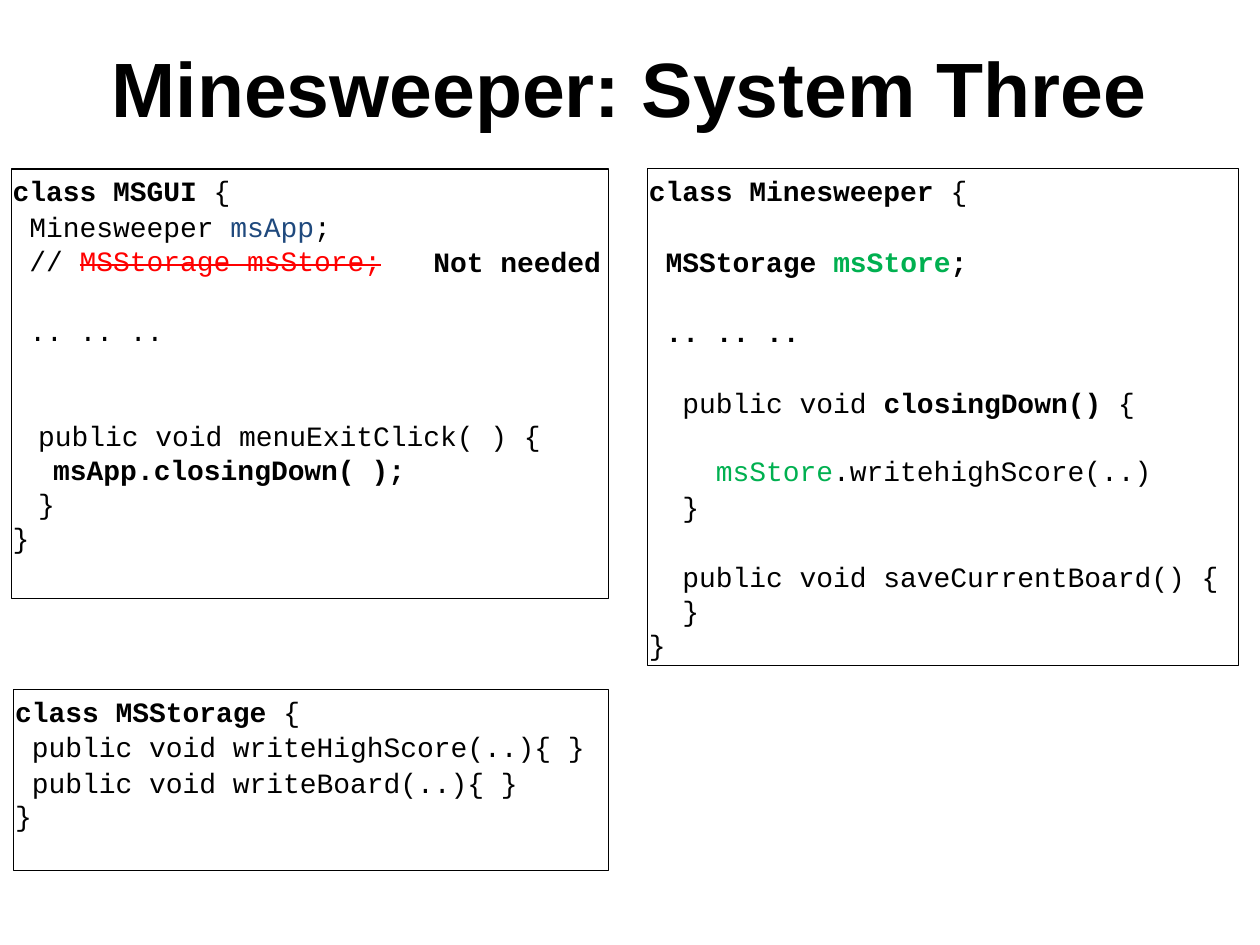
from dataclasses import dataclass
from typing import NamedTuple

from pptx import Presentation
from pptx.dml.color import RGBColor
from pptx.enum.shapes import MSO_SHAPE as Preset
from pptx.enum.text import MSO_ANCHOR as Anchor, PP_ALIGN as Align
from pptx.util import Inches, Pt


@dataclass(frozen=True)
class Theme:
    ink: str = "000000"
    app: str = "1F497D"
    removed: str = "FF0000"
    store: str = "00B050"
    title_font: str = "Arial"
    code_font: str = "Courier New"
    title_size: float = 44
    code_size: float = 16
    line_height: float = 19.25
    blank_height: float = 20
    border: float = 0.75


THEME = Theme()


class Box(NamedTuple):
    left: float
    top: float
    width: float
    height: float


class Span(NamedTuple):
    text: str
    bold: bool = False
    color: str = THEME.ink
    struck: bool = False


@dataclass(frozen=True)
class Line:
    """One code line; blanks counts the empty lines above it."""
    spans: tuple[Span, ...]
    blanks: int = 0
    indent: float = 0.01
    lead: float = 0


class CodePanel(NamedTuple):
    box: Box
    lines: tuple[Line, ...]
    outlined: bool = True


def line(*spans: Span | str, **layout: float) -> Line:
    return Line(tuple(Span(s) if isinstance(s, str) else s for s in spans), **layout)


def bold(text: str, color: str = THEME.ink) -> Span:
    return Span(text, True, color)


PANELS = (
    CodePanel(Box(0.09, 1.34, 4.74, 3.41), (
        line(bold("class MSGUI "), "{"),
        line(" Minesweeper ", Span("msApp", color=THEME.app), ";", lead=1),
        line(" // ", Span("MSStorage msStore;", color=THEME.removed, struck=True)),
        line(" .. .. ..", blanks=1, lead=1),
        line(" public void menuExitClick( ) {", blanks=2, lead=1, indent=0.08),
        line(bold(" msApp.closingDown( );"), indent=0.2),
        line(" }", indent=0.08),
        line("}"),
    )),
    CodePanel(Box(0.11, 5.47, 4.72, 1.44), (
        line(bold("class MSStorage "), "{"),
        line(" public void writeHighScore(..){ }", lead=1),
        line(" public void writeBoard(..){ }", lead=1),
        line("}"),
    )),
    CodePanel(Box(5.14, 1.34, 4.69, 3.94), (
        line(bold("class Minesweeper "), "{"),
        line(" ", bold("MSStorage "), bold("msStore", THEME.store), bold(";"),
             blanks=1, lead=1),
        line(" ", bold(".. .. .."), blanks=1, lead=1),
        line("  public void ", bold("closingDown() "), "{", blanks=1, lead=1),
        line("    ", Span("msStore", color=THEME.store), ".writehighScore(..)", blanks=1),
        line("  }", lead=1),
        line("  public void saveCurrentBoard() {", blanks=1, lead=1),
        line("  }"),
        line("}"),
    )),
    CodePanel(Box(3.43, 1.9, 1.53, 0.28), (line(bold("Not needed")),), outlined=False),
)


def set_all(target, values: dict) -> None:
    for name, value in values.items():
        setattr(target, name, value)


def add_span(paragraph, span: Span, font: str, size: float) -> None:
    run = paragraph.add_run()
    run.text = span.text
    set_all(run.font, {"name": font, "size": Pt(size), "bold": span.bold})
    run.font.color.rgb = RGBColor.from_string(span.color)
    if span.struck:
        run._r.get_or_add_rPr().set("strike", "sngStrike")


def add_title(slide, text: str, box: Box) -> None:
    title = slide.shapes.add_textbox(*map(Inches, box)).text_frame
    set_all(title, {"word_wrap": True, "vertical_anchor": Anchor.MIDDLE})
    title.paragraphs[0].alignment = Align.CENTER
    add_span(title.paragraphs[0], bold(text), THEME.title_font, THEME.title_size)


def add_panel(slide, panel: CodePanel) -> None:
    place = tuple(map(Inches, panel.box))
    if panel.outlined:
        shape = slide.shapes.add_shape(Preset.RECTANGLE, *place)
        shape.shadow.inherit = False
        shape.fill.background()
        shape.line.color.rgb = RGBColor.from_string(THEME.ink)
        shape.line.width = Pt(THEME.border)
    else:
        shape = slide.shapes.add_textbox(*place)
    code = shape.text_frame
    set_all(code, {
        "word_wrap": True, "vertical_anchor": Anchor.TOP,
        "margin_left": 0, "margin_right": 0,
        "margin_top": Inches(0.04), "margin_bottom": 0,
    })
    for index, row in enumerate(panel.lines):
        paragraph = code.paragraphs[0] if index == 0 else code.add_paragraph()
        set_all(paragraph, {
            "alignment": Align.LEFT,
            "line_spacing": Pt(THEME.line_height),
            "space_before": Pt(row.blanks * THEME.blank_height + row.lead),
        })
        paragraph._p.get_or_add_pPr().set("marL", str(Inches(row.indent)))
        for span in row.spans:
            add_span(paragraph, span, THEME.code_font, THEME.code_size)


def main() -> None:
    deck = Presentation()
    set_all(deck, {"slide_width": Inches(10), "slide_height": Inches(7.5)})
    slide = deck.slides.add_slide(deck.slide_layouts[6])
    add_title(slide, "Minesweeper: System Three", Box(0.5, 0.3, 9, 0.78))
    for panel in PANELS:
        add_panel(slide, panel)
    deck.save("out.pptx")


if __name__ == "__main__":
    main()
